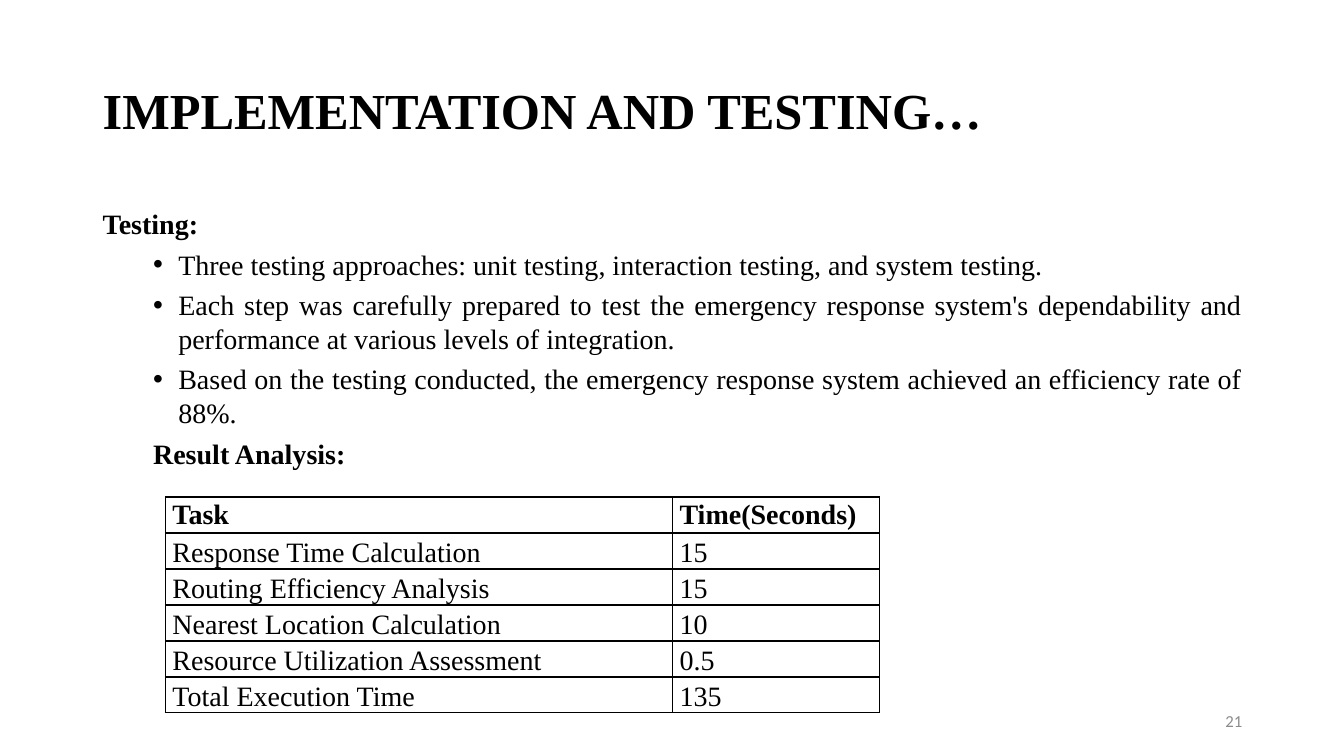
from pptx import Presentation
from pptx import util as u
from pptx.dml.color import RGBColor
from pptx.enum import text
from pptx.oxml import parse_xml
from pptx.oxml.ns import nsdecls

COLORS = {"ink": "000000", "paper": "FFFFFF", "number": "8C8C8C"}
SERIF = "Times New Roman"

TITLE = "IMPLEMENTATION AND TESTING…"
TESTING_POINTS = [
    "Three testing approaches: unit testing, interaction testing, and system testing.",
    "Each step was carefully prepared to test the emergency response system's "
    "dependability and performance at various levels of integration.",
    "Based on the testing conducted, the emergency response system achieved "
    "an efficiency rate of 88%.",
]
RESULTS = [
    ("Task", "Time(Seconds)"),
    ("Response Time Calculation", "15"),
    ("Routing Efficiency Analysis", "15"),
    ("Nearest Location Calculation", "10"),
    ("Resource Utilization Assessment", "0.5"),
    ("Total Execution Time", "135"),
]
COLUMN_WIDTHS = (5.03, 2.05)
ROW_HEIGHTS = (0.3, 0.28, 0.3, 0.3, 0.3, 0.28)


def write(para, words, size=20, font=SERIF, color="ink", bold=False,
          align=None, before=0, line=None):
    """Fill a paragraph with one formatted span."""
    para.alignment = align
    para.space_before = u.Pt(before)
    para.line_spacing = line
    span = para.add_run()
    span.text = words
    span.font.size = u.Pt(size)
    span.font.name = font
    span.font.bold = bold
    span.font.color.rgb = RGBColor.from_string(COLORS[color])


def add_box(page, left, top, width, height, anchor=text.MSO_ANCHOR.TOP):
    box = page.shapes.add_textbox(*map(u.Inches, (left, top, width, height)))
    frame = box.text_frame
    frame.word_wrap = True
    frame.vertical_anchor = anchor
    return frame


def indent(para, margin, bullet=False):
    """Set the left margin, with a hanging bullet if asked for."""
    props = para._p.get_or_add_pPr()
    props.set("marL", str(u.Inches(margin)))
    props.set("indent", str(u.Inches(-0.25 if bullet else 0)))
    if bullet:
        props.append(parse_xml(f'<a:buFont {nsdecls("a")} typeface="Arial"/>'))
        props.append(parse_xml(f'<a:buChar {nsdecls("a")} char="•"/>'))


def add_body(page):
    frame = add_box(page, 0.92, 2, 11.5, 5.28)
    justify = text.PP_ALIGN.JUSTIFY
    write(frame.paragraphs[0], "Testing:", bold=True, align=justify, before=10)
    for point in TESTING_POINTS:
        para = frame.add_paragraph()
        write(para, point, align=justify, before=5)
        indent(para, 0.75, bullet=True)
    para = frame.add_paragraph()
    write(para, "Result Analysis:", bold=True, align=justify, before=5)
    indent(para, 0.5)


def style_cell(cell):
    """White cell with thin margins and a black border all round."""
    cell.margin_left = cell.margin_right = u.Inches(0.07)
    cell.margin_top = cell.margin_bottom = 0
    props = cell._tc.get_or_add_tcPr()
    for side in ("lnL", "lnR", "lnT", "lnB"):
        props.append(parse_xml(
            f'<a:{side} {nsdecls("a")} w="{u.Pt(1)}"><a:solidFill>'
            f'<a:srgbClr val="{COLORS["ink"]}"/></a:solidFill></a:{side}>'))
    cell.fill.solid()
    cell.fill.fore_color.rgb = RGBColor.from_string(COLORS["paper"])


def add_results(page):
    table = page.shapes.add_table(
        len(RESULTS), len(COLUMN_WIDTHS), u.Inches(1.64), u.Inches(4.93),
        u.Inches(sum(COLUMN_WIDTHS)), u.Inches(sum(ROW_HEIGHTS))).table
    table.horz_banding = False
    for column, width in zip(table.columns, COLUMN_WIDTHS):
        column.width = u.Inches(width)
    for r, (values, height) in enumerate(zip(RESULTS, ROW_HEIGHTS)):
        table.rows[r].height = u.Inches(height)
        for c, value in enumerate(values):
            cell = table.cell(r, c)
            style_cell(cell)
            if r > 0:
                cell.vertical_anchor = text.MSO_ANCHOR.BOTTOM
            write(cell.text_frame.paragraphs[0], value, bold=r == 0, line=1.07)


def main():
    deck = Presentation()
    deck.slide_width, deck.slide_height = u.Inches(13.33), u.Inches(7.5)
    page = deck.slides.add_slide(deck.slide_layouts[6])

    # Title
    title = add_box(page, 0.92, 0.4, 11.5, 1.45, text.MSO_ANCHOR.MIDDLE)
    write(title.paragraphs[0], TITLE, size=36, bold=True, line=0.9)

    # Testing notes and result table
    add_body(page)
    add_results(page)

    # Slide number
    number = add_box(page, 9.42, 6.95, 3, 0.4, text.MSO_ANCHOR.MIDDLE)
    write(number.paragraphs[0], "21", size=12, font="Calibri", color="number",
          align=text.PP_ALIGN.RIGHT)

    deck.save("out.pptx")


if __name__ == "__main__":
    main()
